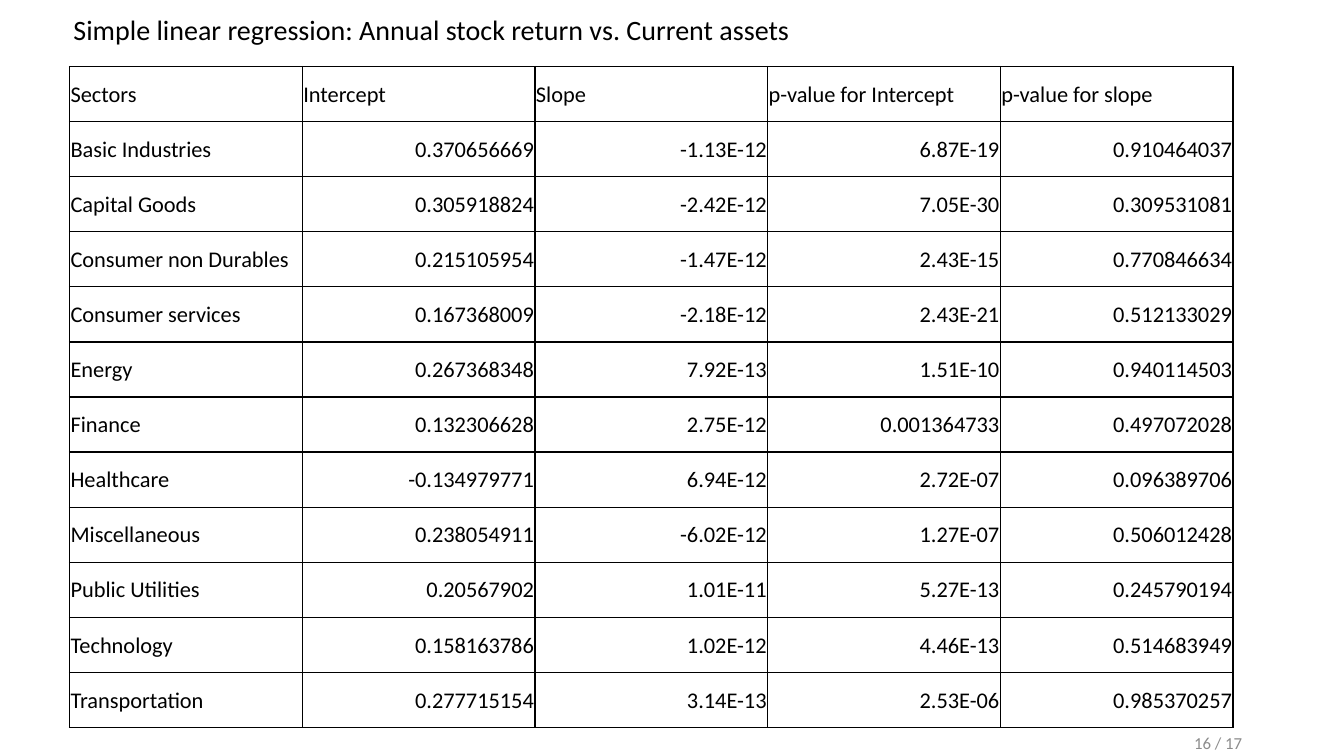
from lxml import etree
from pptx import Presentation
from pptx.dml.color import RGBColor
from pptx.enum.text import MSO_ANCHOR as ANCHOR, PP_ALIGN as ALIGN
from pptx.oxml.ns import qn
from pptx.util import Inches, Pt

BLACK = RGBColor(0x00, 0x00, 0x00)
GREY = RGBColor(0x8C, 0x8C, 0x8C)

REGRESSIONS = [
    ("Sectors", "Intercept", "Slope", "p-value for Intercept", "p-value for slope"),
    ("Basic Industries", "0.370656669", "-1.13E-12", "6.87E-19", "0.910464037"),
    ("Capital Goods", "0.305918824", "-2.42E-12", "7.05E-30", "0.309531081"),
    ("Consumer non Durables", "0.215105954", "-1.47E-12", "2.43E-15", "0.770846634"),
    ("Consumer services", "0.167368009", "-2.18E-12", "2.43E-21", "0.512133029"),
    ("Energy", "0.267368348", "7.92E-13", "1.51E-10", "0.940114503"),
    ("Finance", "0.132306628", "2.75E-12", "0.001364733", "0.497072028"),
    ("Healthcare", "-0.134979771", "6.94E-12", "2.72E-07", "0.096389706"),
    ("Miscellaneous", "0.238054911", "-6.02E-12", "1.27E-07", "0.506012428"),
    ("Public Utilities", "0.20567902", "1.01E-11", "5.27E-13", "0.245790194"),
    ("Technology", "0.158163786", "1.02E-12", "4.46E-13", "0.514683949"),
    ("Transportation", "0.277715154", "3.14E-13", "2.53E-06", "0.985370257"),
]


def write(tf, text, size, color, align):
    p = tf.paragraphs[0]
    p.alignment = align
    r = p.add_run()
    r.text = text
    r.font.name = "Calibri"
    r.font.size = Pt(size)
    r.font.color.rgb = color


def add_borders(cell):
    tc_pr = cell._tc.get_or_add_tcPr()
    for side in ("a:lnL", "a:lnR", "a:lnT", "a:lnB"):
        line = etree.SubElement(tc_pr, qn(side), w=str(Pt(1)))
        fill = etree.SubElement(line, qn("a:solidFill"))
        etree.SubElement(fill, qn("a:srgbClr"), val=str(BLACK))


prs = Presentation()
prs.slide_width = Inches(13.33)
prs.slide_height = Inches(7.5)
s = prs.slides.add_slide(prs.slide_layouts[6])

# Regression table
rows, cols = len(REGRESSIONS), len(REGRESSIONS[0])
table = s.shapes.add_table(rows, cols, Inches(0.69), Inches(0.66),
                           Inches(11.54), Inches(6.56)).table
table.first_row = False
table.horz_banding = False
for i, record in enumerate(REGRESSIONS):
    for j, text in enumerate(record):
        cell = table.cell(i, j)
        add_borders(cell)
        cell.fill.background()
        cell.vertical_anchor = ANCHOR.MIDDLE
        cell.margin_left = cell.margin_top = cell.margin_right = Inches(0.01)
        cell.margin_bottom = 0
        is_label = i == 0 or j == 0
        write(cell.text_frame, text, 16, BLACK, ALIGN.LEFT if is_label else ALIGN.RIGHT)

# Title
title = s.shapes.add_textbox(Inches(0.63), Inches(0.08), Inches(7.39), Inches(0.44))
title.text_frame.word_wrap = False
write(title.text_frame, "Simple linear regression: Annual stock return vs. Current assets",
      20, BLACK, ALIGN.LEFT)

# Page number
page = s.shapes.add_textbox(Inches(9.42), Inches(7.17), Inches(3), Inches(0.4))
page.text_frame.word_wrap = True
page.text_frame.vertical_anchor = ANCHOR.MIDDLE
write(page.text_frame, "16 / 17", 12, GREY, ALIGN.RIGHT)

prs.save("out.pptx")
